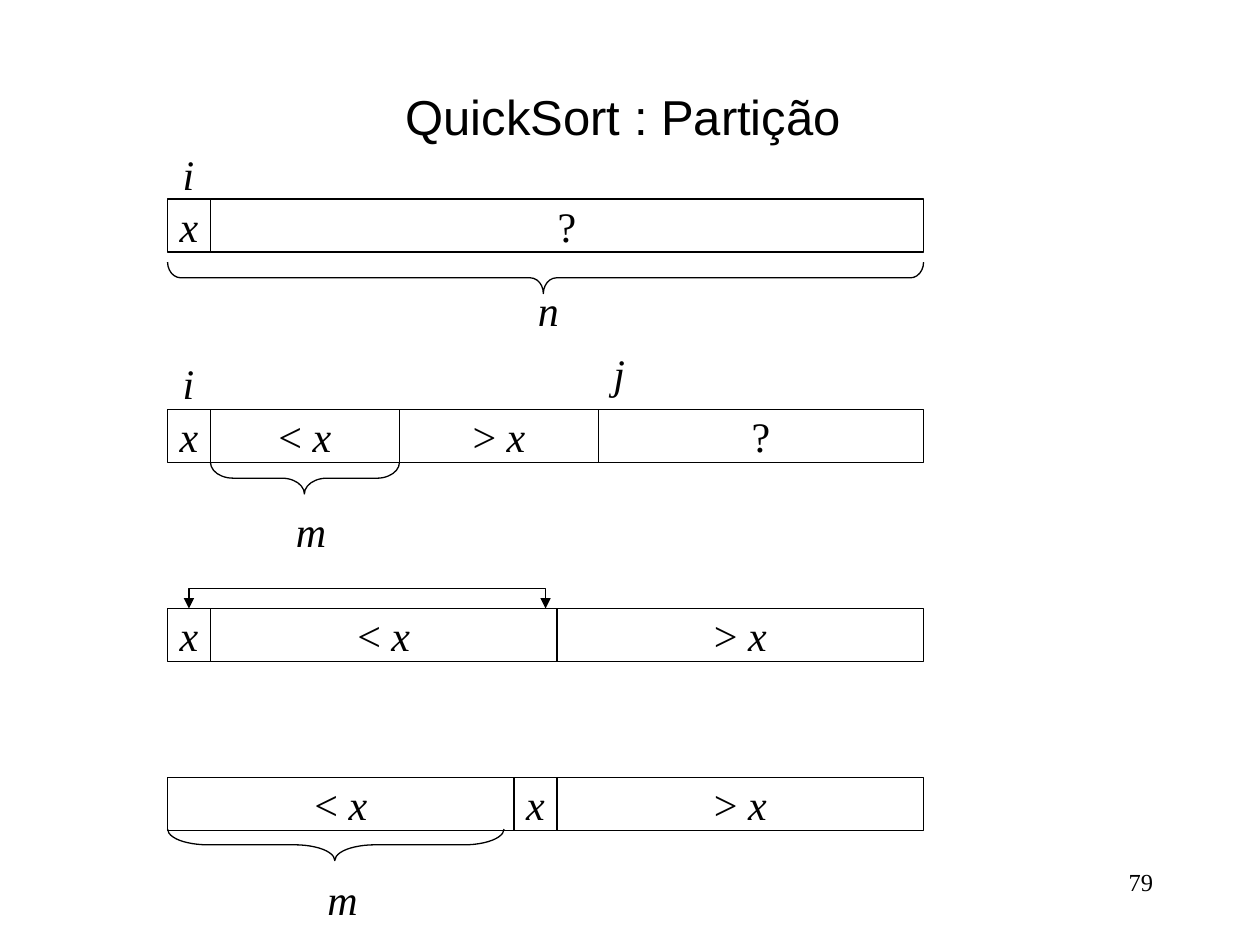
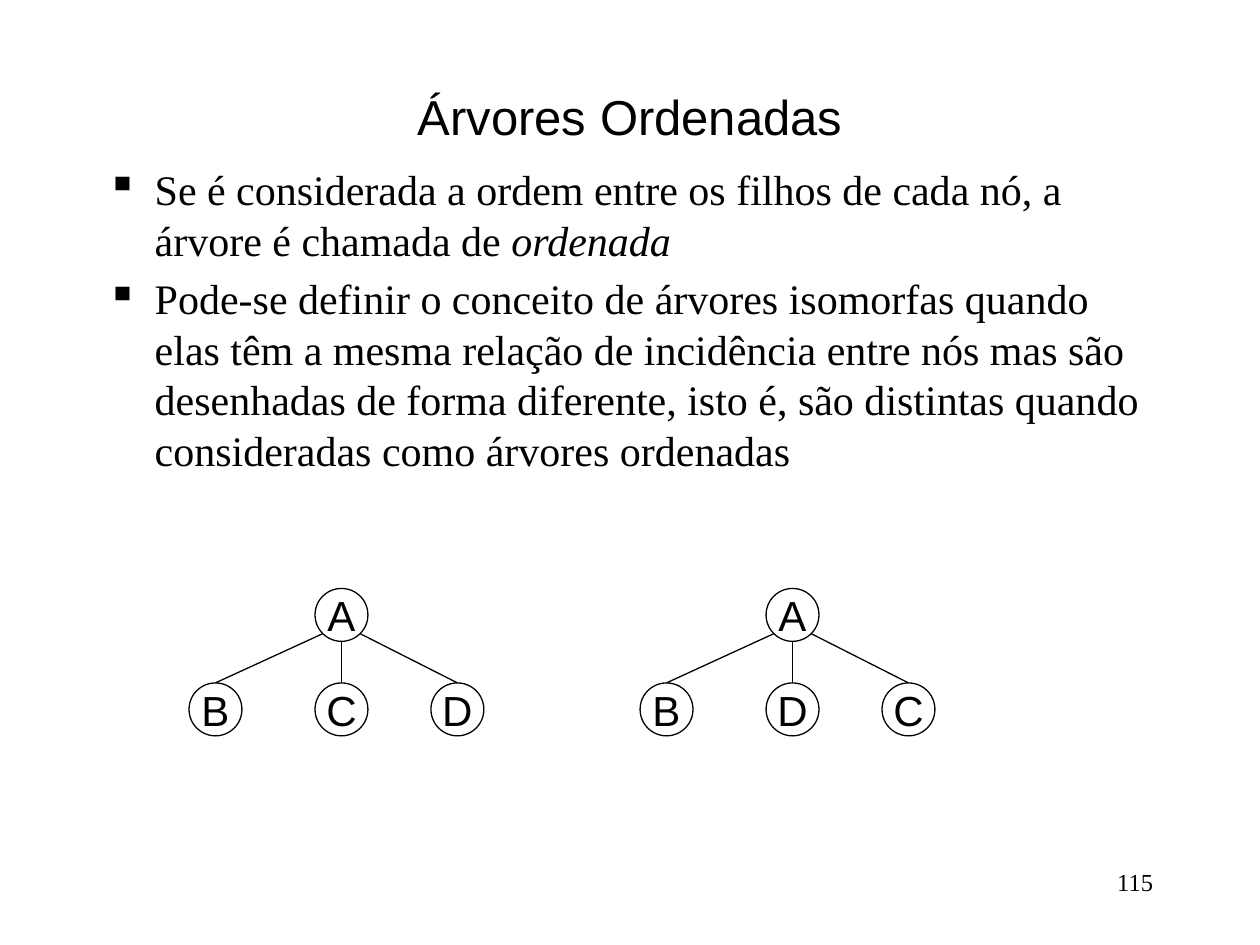
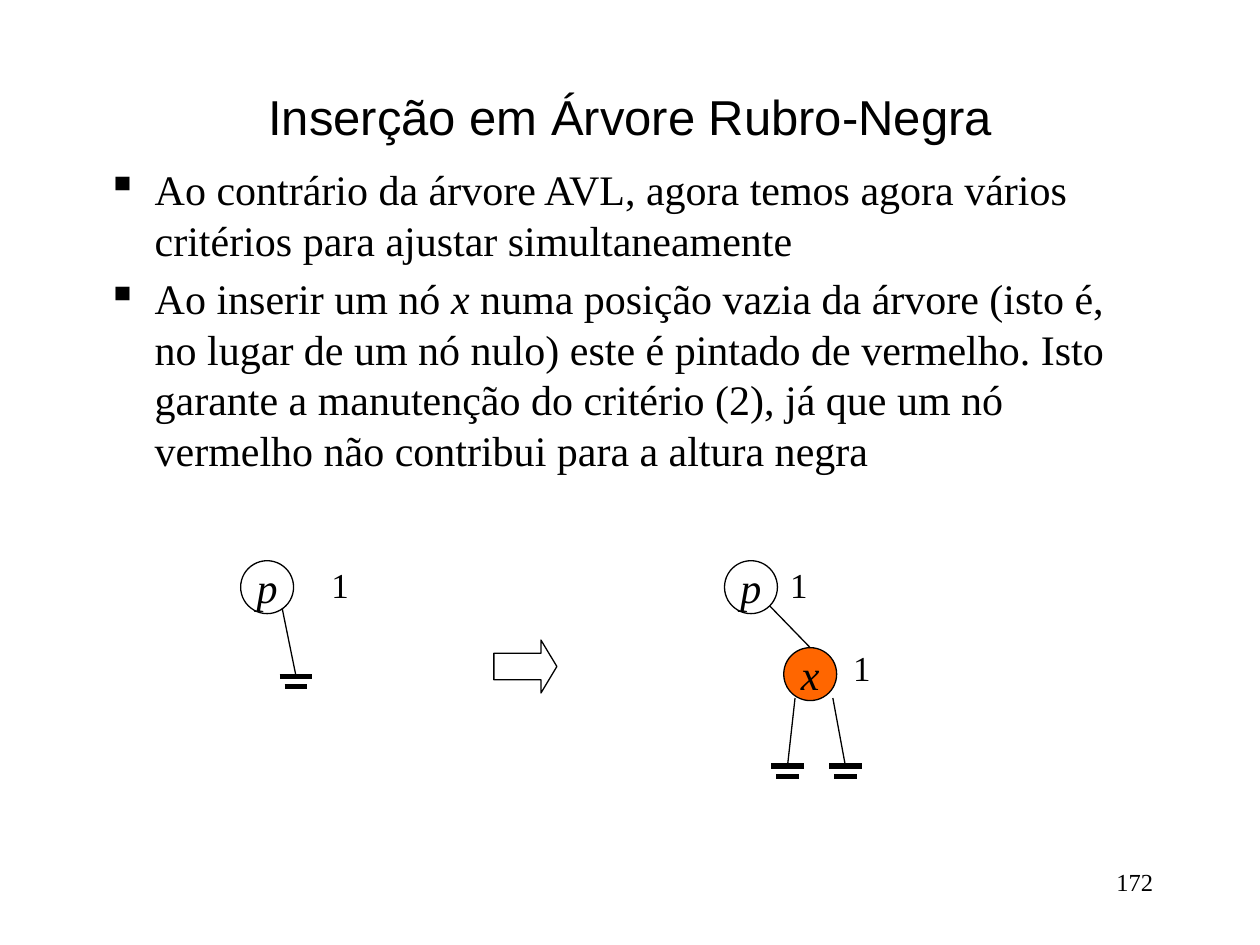
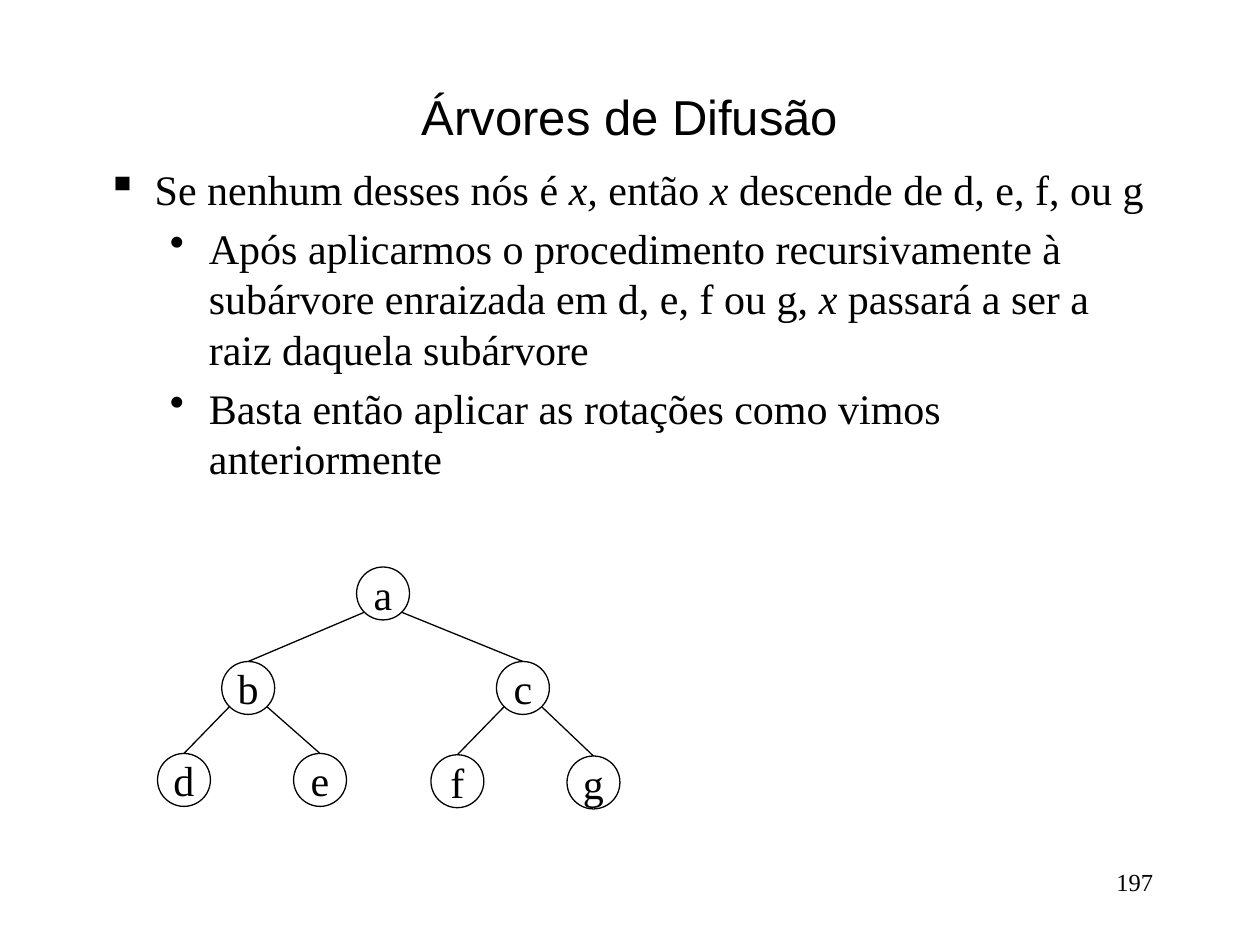
from dataclasses import dataclass

from lxml.etree import SubElement
from pptx import Presentation
from pptx.dml.color import RGBColor
from pptx.enum.shapes import MSO_CONNECTOR, MSO_SHAPE
from pptx.enum.text import MSO_ANCHOR, PP_ALIGN
from pptx.oxml.ns import qn
from pptx.util import Inches, Pt


@dataclass(frozen=True)
class Theme:
    black: RGBColor = RGBColor(0, 0, 0)
    white: RGBColor = RGBColor(255, 255, 255)
    red_node: RGBColor = RGBColor(0xFF, 0x66, 0x00)
    serif: str = "Times New Roman"
    sans: str = "Arial"
    title: int = 28
    text: int = 24
    height_label: int = 20
    page: int = 14
    thin: float = 0.75
    thick: float = 3


theme = Theme()


def add_box(slide, geometry, box, text="", font=theme.serif, size=theme.text,
            align=PP_ALIGN.CENTER, anchor=MSO_ANCHOR.MIDDLE, wrap=False, fill=None):
    """Add a text box, or an outlined shape; *stars* mark italic text."""
    lengths = [Inches(value) for value in box]
    if geometry is None:
        shape = slide.shapes.add_textbox(*lengths)
    else:
        shape = slide.shapes.add_shape(geometry, *lengths)
        shape.shadow.inherit = False
        shape.line.color.rgb = theme.black
        shape.line.width = Pt(theme.thin)
        if fill is None:
            shape.fill.background()
        else:
            shape.fill.solid()
            shape.fill.fore_color.rgb = fill
    frame = shape.text_frame
    frame.word_wrap = wrap
    frame.vertical_anchor = anchor
    for index, content in enumerate(text.split("\n")):
        paragraph = frame.add_paragraph() if index else frame.paragraphs[0]
        paragraph.alignment = align
        paragraph.font.name = font
        paragraph.font.size = Pt(size)
        paragraph.font.color.rgb = theme.black
        for part_index, part in enumerate(content.split("*")):
            if part:
                run = paragraph.add_run()
                run.text = part
                if part_index % 2:
                    run.font.italic = True
    return shape


def add_line(shapes, start, end, width=theme.thin):
    points = [Inches(value) for value in (*start, *end)]
    connector = shapes.add_connector(MSO_CONNECTOR.STRAIGHT, *points)
    connector.line.color.rgb = theme.black
    connector.line.width = Pt(width)
    SubElement(connector.element.spPr, qn("a:effectLst"))


presentation = Presentation()
presentation.slide_width = Inches(10)
presentation.slide_height = Inches(7.5)

# Titles, page numbers and bullets; a leading tab marks the second level
pages = [
    ("QuickSort : Partição ", "79", ""),
    ("Árvores Ordenadas", "115",
     "Se é considerada a ordem entre os filhos de cada nó, a árvore é chamada de *ordenada*\n"
     "Pode-se definir o conceito de árvores isomorfas quando elas têm a mesma relação de "
     "incidência entre nós mas são desenhadas de forma diferente, isto é, são distintas "
     "quando consideradas como árvores ordenadas"),
    ("Inserção em Árvore Rubro-Negra", "172",
     "Ao contrário da árvore AVL, agora temos agora vários critérios para ajustar "
     "simultaneamente\n"
     "Ao inserir um nó *x *numa posição vazia da árvore (isto é, no lugar de um nó nulo) "
     "este é pintado de vermelho. Isto garante a manutenção do critério (2), já que um nó "
     "vermelho não contribui para a altura negra"),
    ("Árvores de Difusão", "197",
     "Se nenhum desses nós é *x, *então *x *descende de d, e, f, ou g\n"
     "\tApós aplicarmos o procedimento recursivamente à subárvore enraizada em d, e, f ou g, "
     "*x *passará a ser a raiz daquela subárvore\n"
     "\tBasta então aplicar as rotações como vimos anteriormente"),
]
slides = []
for title_text, number, body_text in pages:
    slide = presentation.slides.add_slide(presentation.slide_layouts[5])
    slides.append(slide)
    title = slide.shapes.title
    title.left, title.top = Inches(0.75), Inches(0.67)
    title.width, title.height = Inches(8.5), Inches(0.5)
    title.text_frame.vertical_anchor = MSO_ANCHOR.MIDDLE
    title.text_frame.text = title_text
    paragraph = title.text_frame.paragraphs[0]
    paragraph.alignment = PP_ALIGN.CENTER
    paragraph.font.name = theme.sans
    paragraph.font.size = Pt(theme.title)
    paragraph.font.color.rgb = theme.black

    add_box(slide, None, (7.17, 6.83, 2.08, 0.5), number, size=theme.page,
            align=PP_ALIGN.RIGHT, anchor=MSO_ANCHOR.TOP, wrap=True)

    if body_text:
        body = add_box(slide, None, (0.75, 1.25, 8.5, 5.42), body_text.replace("\t", ""),
                       align=PP_ALIGN.LEFT, anchor=MSO_ANCHOR.TOP, wrap=True)
        for index, content in enumerate(body_text.split("\n")):
            paragraph = body.text_frame.paragraphs[index]
            paragraph.level = int(content.startswith("\t"))
            margin, indent, character = [(0.38, -0.38, "▪"), (0.81, -0.31, "•")][paragraph.level]
            properties = paragraph._p.get_or_add_pPr()
            properties.set("marL", str(Inches(margin)))
            properties.set("indent", str(Inches(indent)))
            bullet = SubElement(properties, qn("a:buChar"), char=character)
            properties.insert(0, bullet)
            if index:
                paragraph.space_before = Pt(theme.text * 0.2)

partition, ordered, red_black, splay = slides

# Array states: top, cell borders, cell texts
states = [
    (1.58, [1.33, 1.67, 7.33], ["*x*", "?"]),
    (3.25, [1.33, 1.67, 3.17, 4.75, 7.33], ["*x*", "< *x*", "> *x*", "?"]),
    (4.83, [1.33, 1.67, 4.42, 7.33], ["*x*", "< *x*", "> *x*"]),
    (6.17, [1.33, 4.08, 4.42, 7.33], ["< *x*", "*x*", "> *x*"]),
]
for top, borders, texts in states:
    for left, right, text in zip(borders, borders[1:], texts):
        add_box(partition, MSO_SHAPE.RECTANGLE, (left, top, right - left, 0.42), text)

# Braces under the arrays, turned to point down
brace_depth = 0.25
for left, right, top, curve in [(1.33, 7.33, 2.08, 0.417), (1.67, 3.17, 3.67, 0.715),
                                (1.33, 4, 6.58, 1.272)]:
    span = right - left
    brace = add_box(partition, MSO_SHAPE.RIGHT_BRACE,
                    ((left + right - brace_depth) / 2, top + (brace_depth - span) / 2,
                     brace_depth, span))
    brace.rotation = 90
    brace.adjustments[0] = curve
    brace.adjustments[1] = 0.503

# Index and length labels
for text, left, top in [("i", 1.33, 1.17), ("n", 4.17, 2.25), ("i", 1.33, 2.83),
                        ("m", 2.25, 4), ("j", 4.75, 2.75), ("m", 2.5, 6.92)]:
    add_box(partition, None, (left, top, 0.33, 0.42), f"*{text}*")

# Swap arrow above the third array
builder = partition.shapes.build_freeform(Inches(1.5), Inches(4.83))
builder.add_line_segments([(Inches(x), Inches(y)) for x, y in
                           [(1.5, 4.67), (4.33, 4.67), (4.33, 4.83)]], close=False)
swap = builder.convert_to_shape()
swap.shadow.inherit = False
swap.fill.background()
swap.line.color.rgb = theme.black
swap.line.width = Pt(theme.thin)
for end in ("a:headEnd", "a:tailEnd"):
    SubElement(swap.element.spPr.find(qn("a:ln")), qn(end), type="triangle")

# Trees: each node has left, top, parent and fill
trees = [
    (ordered, theme.sans, {
        "A": (2.5, 4.67, None, None), "B": (1.5, 5.42, "A", None),
        "C": (2.5, 5.42, "A", None), "D": (3.42, 5.42, "A", None)}),
    (ordered, theme.sans, {
        "A": (6.08, 4.67, None, None), "B": (5.08, 5.42, "A", None),
        "D": (6.08, 5.42, "A", None), "C": (7, 5.42, "A", None)}),
    (red_black, theme.serif, {"*p*": (1.91, 4.45, None, theme.white)}),
    (red_black, theme.serif, {
        "*p*": (5.75, 4.45, None, theme.white), "*x*": (6.22, 5.14, "*p*", theme.red_node)}),
    (splay, theme.serif, {
        "a": (2.83, 4.5, None, None),
        "b": (1.76, 5.25, "a", None), "c": (3.94, 5.25, "a", None),
        "d": (1.25, 5.98, "b", None), "e": (2.33, 5.98, "b", None),
        "f": (3.42, 5.99, "c", None), "g": (4.5, 6, "c", None)}),
]
node_size = 0.42
radius = node_size / 2
corner = 0.15
for slide, font, nodes in trees:
    for text, (left, top, parent, fill) in nodes.items():
        add_box(slide, MSO_SHAPE.OVAL, (left, top, node_size, node_size), text,
                font=font, fill=fill)
        if parent:
            parent_left, parent_top = nodes[parent][:2]
            side = (left > parent_left) - (left < parent_left)
            drop = corner if side else radius
            add_line(slide.shapes,
                     (parent_left + radius + side * corner, parent_top + radius + drop),
                     (left + radius, top))

# Null nodes: stem start, centre and top of the two bars
for stem, centre, top in [((2.24, 4.83), 2.35, 5.37), ((6.31, 5.54), 6.25, 6.08),
                          ((6.61, 5.54), 6.71, 6.08)]:
    add_line(red_black.shapes, stem, (centre, top))
    group = red_black.shapes.add_group_shape()
    for half, y in [(0.13, top), (0.09, top + 0.08)]:
        add_line(group.shapes, (centre - half, y), (centre + half, y), theme.thick)

# Black heights and the step arrow
for left, top in [(2.53, 4.42), (6.17, 4.42), (6.67, 5.08)]:
    add_box(red_black, None, (left, top, 0.34, 0.43), "1", size=theme.height_label,
            anchor=MSO_ANCHOR.TOP)
arrow = add_box(red_black, MSO_SHAPE.RIGHT_ARROW, (3.92, 5.08, 0.5, 0.42))
arrow.adjustments[0] = 0.5
arrow.adjustments[1] = 0.3

presentation.save("out.pptx")
